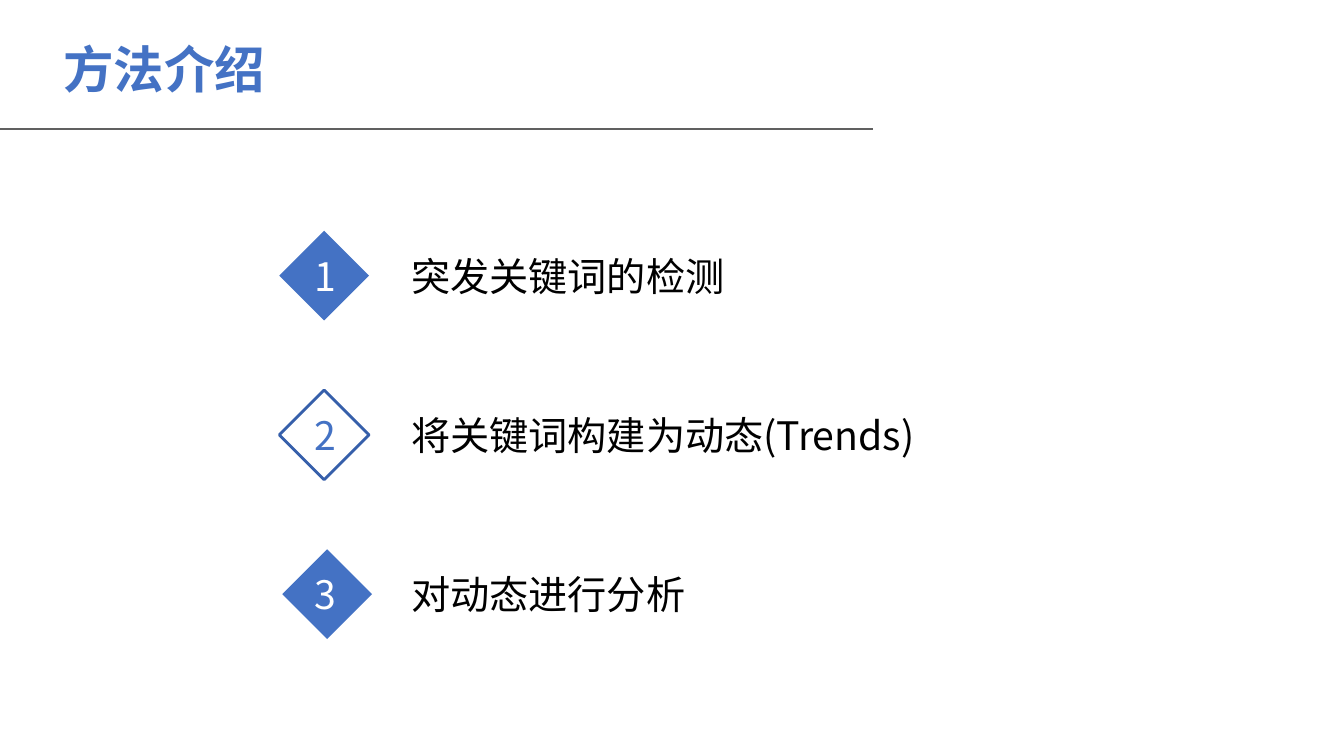
from dataclasses import dataclass

from pptx import Presentation
from pptx.dml.color import RGBColor
from pptx.enum.shapes import MSO_CONNECTOR, MSO_SHAPE
from pptx.enum.text import MSO_ANCHOR, PP_ALIGN
from pptx.oxml.ns import qn
from pptx.slide import Slide
from pptx.text.text import TextFrame
from pptx.util import Inches, Pt


@dataclass(frozen=True)
class Theme:
    """Colours, font and type sizes of the slide."""
    blue: RGBColor = RGBColor(0x44, 0x72, 0xC4)
    outline: RGBColor = RGBColor(0x36, 0x5F, 0xAA)
    rule: RGBColor = RGBColor(0x60, 0x60, 0x60)
    black: RGBColor = RGBColor(0, 0, 0)
    white: RGBColor = RGBColor(0xFF, 0xFF, 0xFF)
    font: str = "Noto Sans CJK SC"
    title_size: int = 36
    body_size: int = 28


@dataclass(frozen=True)
class Step:
    """One numbered step with its marker style."""
    text: str
    width: float
    marker_left: float = 2.9
    outlined: bool = False


THEME = Theme()
STEPS = (
    Step("突发关键词的检测", 5.58),
    Step("将关键词构建为动态(Trends)", 6.33, outlined=True),
    Step("对动态进行分析", 6.12, marker_left=2.93),
)
FIRST_TOP, STEP_PITCH = 2.42, 1.58
MARKER_SIZE = 0.63
TEXT_OFFSET, TEXT_HEIGHT = 0.03, 0.57
NUMBER_LEFT, NUMBER_WIDTH = 3.02, 0.39
TEXT_LEFT = 3.98


def write(frame: TextFrame, text: str, size: int, color: RGBColor,
          align: PP_ALIGN = PP_ALIGN.LEFT, bold: bool = False) -> None:
    """Put one formatted, vertically centred line into a text frame."""
    frame.text = text
    frame.word_wrap = True
    frame.vertical_anchor = MSO_ANCHOR.MIDDLE
    paragraph = frame.paragraphs[0]
    paragraph.alignment = align
    paragraph.line_spacing = 1.0
    font = paragraph.runs[0].font
    font.name, font.size, font.bold = THEME.font, Pt(size), bold
    font.color.rgb = color
    properties = paragraph.runs[0]._r.get_or_add_rPr()
    east_asian = properties.makeelement(qn("a:ea"), {"typeface": THEME.font})
    properties.find(qn("a:latin")).addnext(east_asian)


def add_title(slide: Slide, text: str) -> None:
    """Place the title and the rule below it."""
    title = slide.shapes.title
    title.left, title.top = Inches(0.53), Inches(0.32)
    title.width, title.height = Inches(10.71), Inches(0.71)
    write(title.text_frame, text, THEME.title_size, THEME.blue, bold=True)
    rule = slide.shapes.add_connector(
        MSO_CONNECTOR.STRAIGHT, Inches(0), Inches(1.28), Inches(8.66), Inches(1.28))
    rule.line.color.rgb = THEME.rule
    rule.line.width = Pt(0.75)
    properties = rule._element.spPr
    properties.append(properties.makeelement(qn("a:effectLst"), {}))


def add_marker(slide: Slide, step: Step, top: float) -> None:
    """Draw the square, turned onto its corner, behind a step number."""
    marker = slide.shapes.add_shape(
        MSO_SHAPE.RECTANGLE, Inches(step.marker_left), Inches(top),
        Inches(MARKER_SIZE), Inches(MARKER_SIZE))
    marker.rotation = 45
    marker.shadow.inherit = False
    marker.fill.solid()
    marker.fill.fore_color.rgb = THEME.white if step.outlined else THEME.blue
    if step.outlined:
        marker.line.color.rgb = THEME.outline
        marker.line.width = Pt(2)
    else:
        marker.line.fill.background()


def add_label(slide: Slide, text: str, left: float, top: float, width: float,
              color: RGBColor, align: PP_ALIGN = PP_ALIGN.LEFT) -> None:
    """Add a one-line text box in body size."""
    box = slide.shapes.add_textbox(
        Inches(left), Inches(top), Inches(width), Inches(TEXT_HEIGHT))
    write(box.text_frame, text, THEME.body_size, color, align)


def add_step(slide: Slide, index: int, step: Step) -> None:
    """Draw the marker, number and text of one step."""
    top = FIRST_TOP + index * STEP_PITCH
    text_top = top + TEXT_OFFSET
    add_marker(slide, step, top)
    add_label(slide, str(index + 1), NUMBER_LEFT, text_top, NUMBER_WIDTH,
              THEME.blue if step.outlined else THEME.white)
    add_label(slide, step.text, TEXT_LEFT, text_top, step.width,
              THEME.black, PP_ALIGN.JUSTIFY)


def main() -> None:
    """Build and save the slide."""
    presentation = Presentation()
    presentation.slide_width, presentation.slide_height = Inches(13.33), Inches(7.5)
    slide = presentation.slides.add_slide(presentation.slide_layouts[5])
    add_title(slide, "方法介绍")
    for index, step in enumerate(STEPS):
        add_step(slide, index, step)
    presentation.save("out.pptx")


main()
